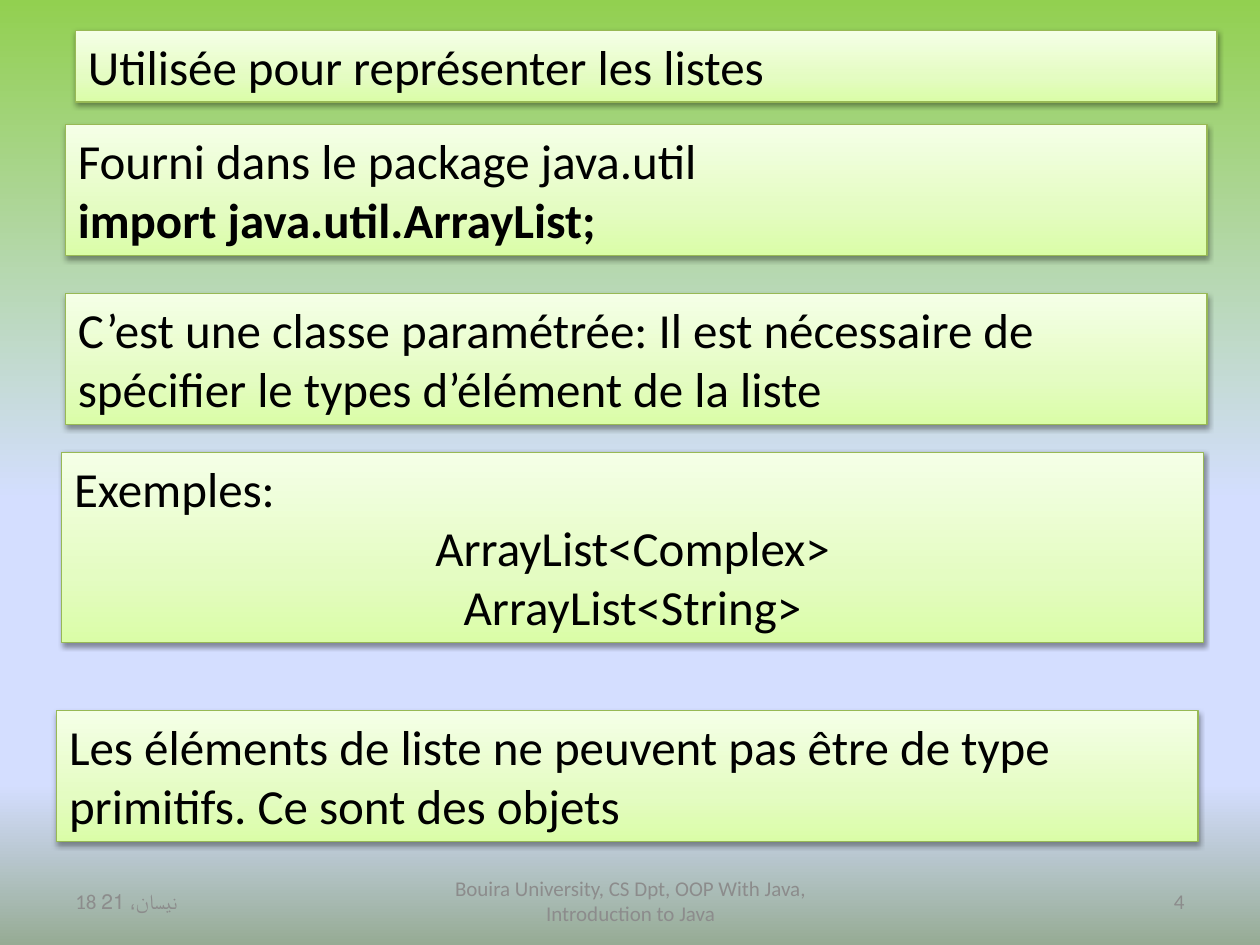
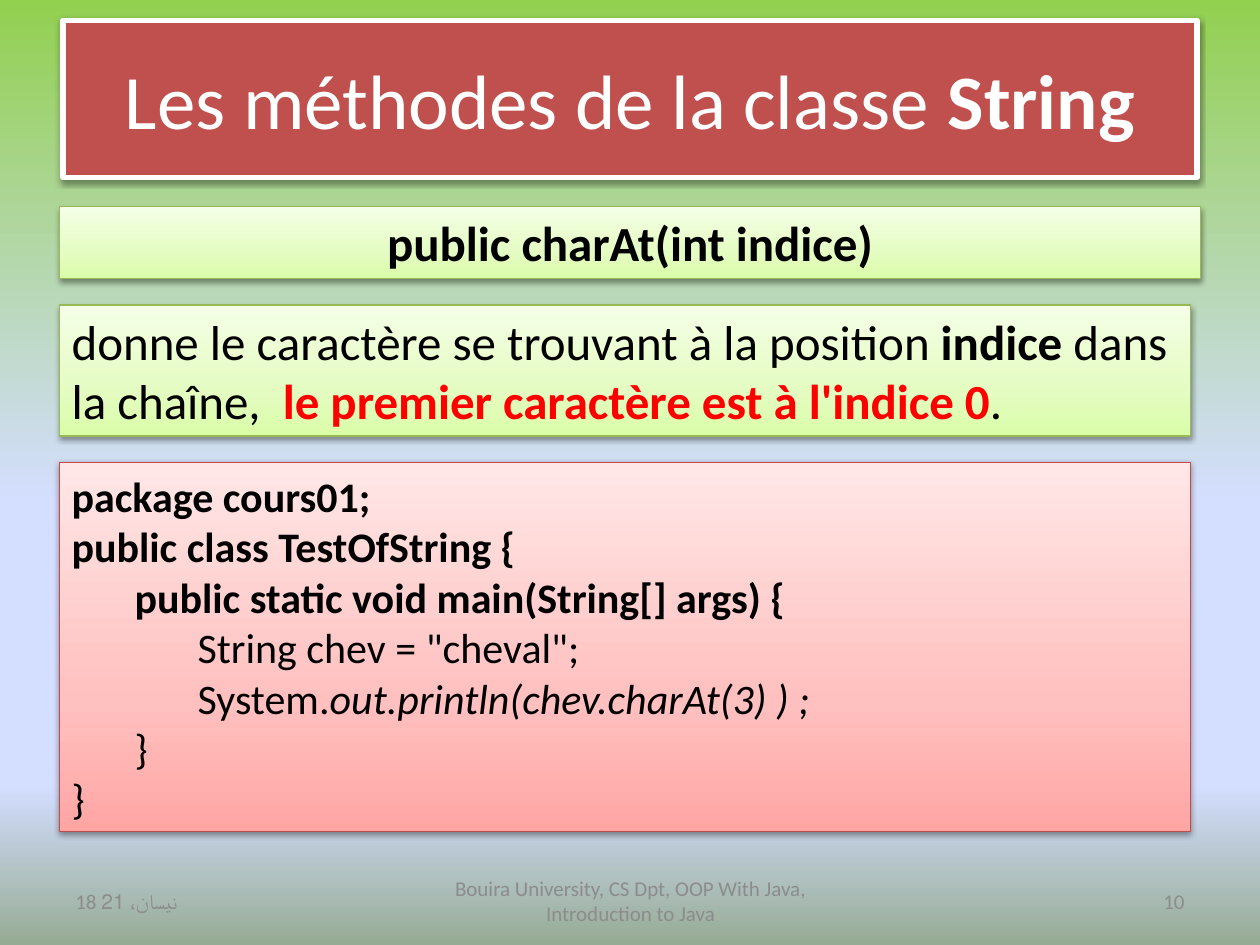
from dataclasses import dataclass
from typing import NamedTuple

from lxml import etree
from pptx import Presentation
from pptx.dml.color import RGBColor
from pptx.enum.shapes import MSO_SHAPE
from pptx.enum.text import MSO_ANCHOR, MSO_AUTO_SIZE, PP_ALIGN
from pptx.oxml.ns import qn
from pptx.util import Pt

RECT = MSO_SHAPE.RECTANGLE
TOP, MID = MSO_ANCHOR.TOP, MSO_ANCHOR.MIDDLE
GROW = MSO_AUTO_SIZE.SHAPE_TO_FIT_TEXT
LEFT, MID_LINE, RIGHT = PP_ALIGN.LEFT, PP_ALIGN.CENTER, PP_ALIGN.RIGHT

PX = 9144
FONT = "Calibri"
BLACK, WHITE, RED, GREY, BRICK = "000000", "FFFFFF", "FF0000", "8C8C8C", "C0504D"
SKY = ((0, "92D050"), (53, "D4DEFF"), (83, "D4DEFF"), (100, "96AB94"))
DATE = "18 نيسان، 21"
COURSE = "Bouira University, CS Dpt, OOP With Java, Introduction to Java"


class Skin(NamedTuple):
    stops: tuple
    edge: str


class Bit(NamedTuple):
    text: str
    bold: bool = False
    slant: bool = False
    ink: str = BLACK


class Row(NamedTuple):
    bits: tuple
    align: PP_ALIGN = LEFT


class Box(NamedTuple):
    x: int
    y: int
    w: int
    h: int


GREEN = Skin(((0, "DAFDA7"), (35, "E4FCC2"), (100, "F5FFE7")), "98B955")
PINK = Skin(((0, "FFA6A5"), (35, "FFC0BF"), (100, "FFE7E7")), "BF4C48")


@dataclass
class Card:
    box: Box
    rows: list[Row]
    skin: Skin = GREEN
    size: int = 28
    anchor: MSO_ANCHOR = TOP


def row(text: str, bold: bool = False, align: PP_ALIGN = LEFT, ink: str = BLACK) -> Row:
    return Row((Bit(text, bold, ink=ink),), align)


def tint(code: str) -> RGBColor:
    return RGBColor.from_string(code)


def scale(box: Box) -> list[int]:
    return [side * PX for side in box]


def blend(fill, root, stops: tuple, angle: int) -> None:
    fill.gradient()
    fill.gradient_angle = angle
    stop_list = root.find(".//" + qn("a:gsLst"))
    for old in list(stop_list):
        stop_list.remove(old)
    for place, code in stops:
        stop = etree.SubElement(stop_list, qn("a:gs"), pos=str(place * 1000))
        etree.SubElement(stop, qn("a:srgbClr"), val=code)


def shade(shape) -> None:
    shape.shadow.inherit = False
    effects = shape._element.spPr.find(qn("a:effectLst"))
    drop = etree.SubElement(effects, qn("a:outerShdw"), blurRad="40000",
                            dist="20000", dir="5400000", rotWithShape="0")
    black = etree.SubElement(drop, qn("a:srgbClr"), val=BLACK)
    etree.SubElement(black, qn("a:alpha"), val="38000")


def edge(shape, code: str, width: float) -> None:
    shape.line.color.rgb = tint(code)
    shape.line.width = Pt(width)


def write(frame, rows: list[Row], size: int, anchor: MSO_ANCHOR) -> None:
    frame.word_wrap = True
    frame.vertical_anchor = anchor
    for rank, line in enumerate(rows):
        para = frame.add_paragraph() if rank else frame.paragraphs[0]
        para.alignment = line.align
        for bit in line.bits:
            run = para.add_run()
            run.text = bit.text
            run.font.name = FONT
            run.font.size = Pt(size)
            run.font.bold = bit.bold
            run.font.italic = bit.slant
            run.font.color.rgb = tint(bit.ink)


def draw_card(slide, card: Card) -> None:
    shape = slide.shapes.add_shape(RECT, *scale(card.box))
    blend(shape.fill, shape._element.spPr, card.skin.stops, 90)
    edge(shape, card.skin.edge, 0.75)
    shade(shape)
    write(shape.text_frame, card.rows, card.size, card.anchor)
    shape.text_frame.auto_size = GROW


def draw_title(slide, line: Row) -> None:
    title = slide.shapes.title
    title.left, title.top, title.width, title.height = scale(Box(50, 16, 900, 125))
    title.fill.solid()
    title.fill.fore_color.rgb = tint(BRICK)
    edge(title, WHITE, 3)
    shade(title)
    write(title.text_frame, [line], 44, MID)


def draw_foot(slide, page: int) -> None:
    for x, w, text, align in ((50, 233, DATE, LEFT), (342, 317, COURSE, MID_LINE),
                              (717, 233, str(page), RIGHT)):
        note = slide.shapes.add_textbox(*scale(Box(x, 695, w, 40)))
        write(note.text_frame, [row(text, align=align, ink=GREY)], 12, MID)


def add_slide(deck, page: int, cards: list[Card], title: Row | None = None) -> None:
    slide = deck.slides.add_slide(deck.slide_layouts[5 if title else 6])
    blend(slide.background.fill, slide._element, SKY, 270)
    if title:
        draw_title(slide, title)
    for card in cards:
        draw_card(slide, card)
    draw_foot(slide, page)


LIST_CARDS = [
    Card(Box(60, 24, 906, 57), [row("Utilisée pour représenter les listes")]),
    Card(Box(52, 99, 906, 104), [
        row("Fourni dans le package java.util"),
        row("import java.util.ArrayList;", True),
    ]),
    Card(Box(52, 233, 906, 104), [
        row("C’est une classe paramétrée: Il est nécessaire de spécifier "
            "le types d’élément de la liste"),
    ]),
    Card(Box(49, 359, 906, 151), [
        row("Exemples:"),
        row("ArrayList<Complex>", align=MID_LINE),
        row("ArrayList<String>", align=MID_LINE),
    ]),
    Card(Box(45, 564, 906, 104), [
        row("Les éléments de liste ne peuvent pas être de type primitifs. "
            "Ce sont des objets"),
    ]),
]

STRING_TITLE = Row((Bit("Les méthodes de la classe ", ink=WHITE),
                    Bit("String", True, ink=WHITE)), MID_LINE)

STRING_CARDS = [
    Card(Box(47, 164, 906, 57), [row("public charAt(int indice)", True, MID_LINE)]),
    Card(Box(47, 242, 898, 104), [
        Row((Bit("donne le caractère se trouvant à la position "),
             Bit("indice", True),
             Bit(" dans la chaîne,  "),
             Bit("le premier caractère est à l'indice 0", True, ink=RED),
             Bit("."))),
    ], anchor=MID),
    Card(Box(47, 367, 898, 293), [
        row("package cours01;", True),
        row("public class TestOfString {", True),
        row("\tpublic static void main(String[] args) {", True),
        row("\t\tString chev = \"cheval\";"),
        Row((Bit("\t\tSystem."), Bit("out.println(chev.charAt(3) ) ;", slant=True))),
        row("\t}"),
        row("}"),
    ], PINK, 24, MID),
]


def main() -> None:
    deck = Presentation()
    deck.slide_width, deck.slide_height = 1000 * PX, 750 * PX
    add_slide(deck, 4, LIST_CARDS)
    add_slide(deck, 10, STRING_CARDS, STRING_TITLE)
    deck.save("out.pptx")


if __name__ == "__main__":
    main()
